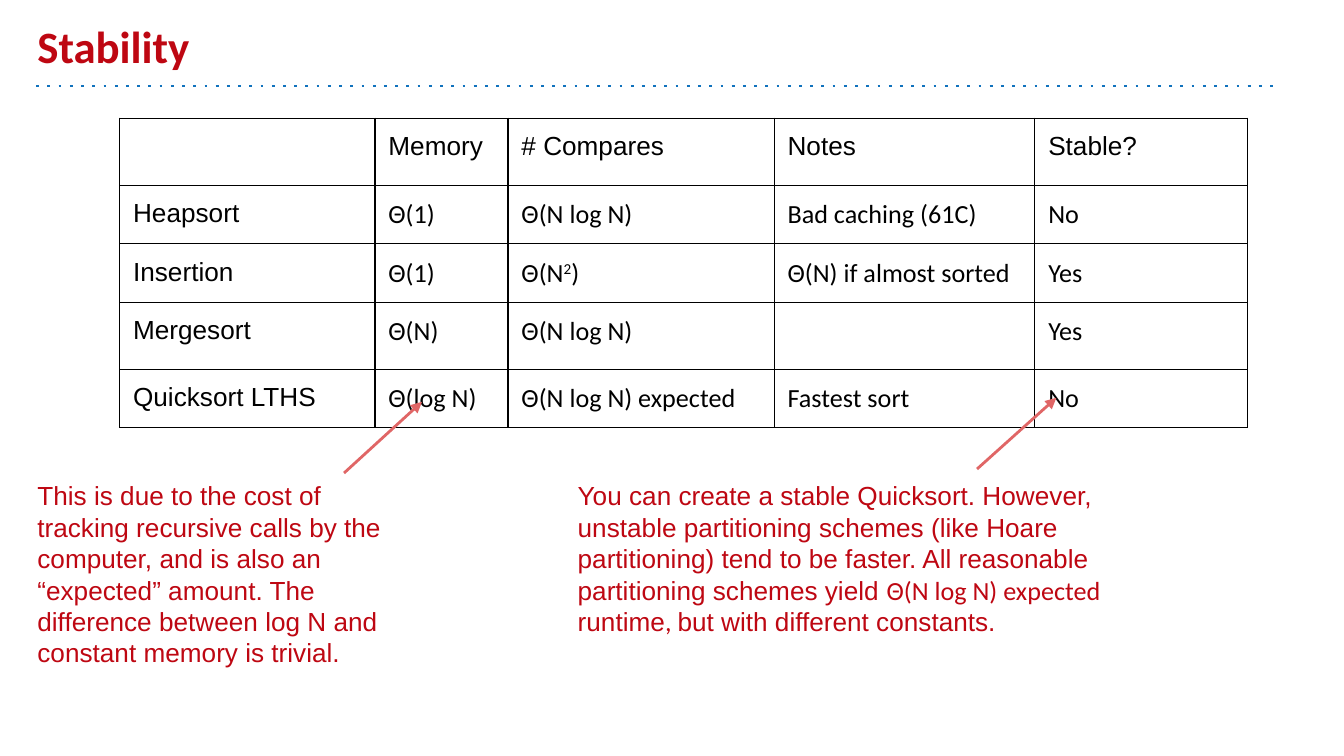
from lxml.etree import SubElement
from pptx import Presentation
from pptx.dml.color import RGBColor
from pptx.enum.shapes import MSO_CONNECTOR
from pptx.enum.text import MSO_ANCHOR
from pptx.oxml.ns import qn
from pptx.util import Inches, Pt

RED = RGBColor(0xBE, 0x07, 0x12)
ARROW_RED = RGBColor(0xE0, 0x66, 0x66)
BLUE = RGBColor(0x10, 0x72, 0xBD)
BLACK = RGBColor(0, 0, 0)
ARIAL, CALIBRI = "Arial", "Calibri"

TITLE = "Stability"
HEADERS = ["", "Memory", "# Compares", "Notes", "Stable?"]
SORTS = [
    ["Heapsort", "Θ(1)", "Θ(N log N)", "Bad caching (61C)", "No"],
    ["Insertion", "Θ(1)", "Θ(N^2^)", "Θ(N) if almost sorted", "Yes"],
    ["Mergesort", "Θ(N)", "Θ(N log N)", "", "Yes"],
    ["Quicksort LTHS", "Θ(log N)", "Θ(N log N) expected", "Fastest sort", "No"],
]
COL_WIDTHS = [1.9, 0.99, 1.98, 1.94, 1.58]
ROW_HEIGHT = 0.43

NOTES = [
    ((0.18, 3.47, 2.96, 1.52), [
        ("This is due to the cost of tracking recursive calls by the computer, "
         "and is also an “expected” amount. The difference between log N and "
         "constant memory is trivial.", ARIAL),
    ]),
    ((4.2, 3.47, 4.68, 1.37), [
        ("You can create a stable Quicksort. However, unstable partitioning "
         "schemes (like Hoare partitioning) tend to be faster. All reasonable "
         "partitioning schemes yield ", ARIAL),
        ("Θ(N log N) expected ", CALIBRI),
        ("runtime", ARIAL),
        (", ", CALIBRI),
        ("but with different constants.", ARIAL),
    ]),
]
ARROWS = [(2.56, 3.52, 3.14, 2.99), (7.27, 3.49, 7.86, 2.96)]


def add_run(p, text, font, color, size=14, bold=False):
    r = p.add_run()
    r.text = text
    r.font.name = font
    r.font.size = Pt(size)
    r.font.bold = bold
    r.font.color.rgb = color
    return r


def set_margins(box):
    box.margin_left = box.margin_right = Inches(0.1)
    box.margin_top = box.margin_bottom = Inches(0.1)


def add_text(slide, at, runs, anchor=MSO_ANCHOR.TOP, **style):
    tf = slide.shapes.add_textbox(*map(Inches, at)).text_frame
    tf.word_wrap = True
    tf.vertical_anchor = anchor
    set_margins(tf)
    for text, font in runs:
        add_run(tf.paragraphs[0], text, font, RED, **style)


def add_line(slide, ends, color, tag, **attrs):
    line = slide.shapes.add_connector(MSO_CONNECTOR.STRAIGHT, *map(Inches, ends))
    line.line.color.rgb = color
    line.line.width = Pt(1.5)
    SubElement(line.line._get_or_add_ln(), qn(tag), **attrs)
    SubElement(line._element.spPr, qn("a:effectLst"))


def add_borders(cell):
    tcPr = cell._tc.get_or_add_tcPr()
    for side in ("lnL", "lnR", "lnT", "lnB"):
        ln = SubElement(tcPr, qn(f"a:{side}"), w=str(Pt(0.75)))
        fill = SubElement(ln, qn("a:solidFill"))
        SubElement(fill, qn("a:srgbClr"), val=str(BLACK))


def fill_cell(cell, text, font):
    set_margins(cell)
    add_borders(cell)
    cell.fill.background()
    p = cell.text_frame.paragraphs[0]
    if not text:
        end = SubElement(p._p, qn("a:endParaRPr"), sz="1800")
        SubElement(end, qn("a:latin"), typeface=ARIAL)
        return
    for k, part in enumerate(text.split("^")):
        r = add_run(p, part, font, BLACK)
        if k % 2:
            r.font._element.set("baseline", "30000")


def add_sort_table(slide):
    rows = [HEADERS] + SORTS
    table = slide.shapes.add_table(
        len(rows), len(HEADERS), Inches(0.89), Inches(0.88),
        Inches(sum(COL_WIDTHS)), Inches(ROW_HEIGHT * len(rows))).table
    table.first_row = table.horz_banding = False
    for column, width in zip(table.columns, COL_WIDTHS):
        column.width = Inches(width)
    for i, row in enumerate(rows):
        table.rows[i].height = Inches(ROW_HEIGHT)
        for j, text in enumerate(row):
            font = ARIAL if i == 0 or j == 0 else CALIBRI
            fill_cell(table.cell(i, j), text, font)


prs = Presentation()
prs.slide_width = Inches(10)
prs.slide_height = prs.slide_width * 9 // 16
s = prs.slides.add_slide(prs.slide_layouts[6])

add_line(s, (0.27, 0.64, 9.5, 0.64), BLUE, "a:prstDash", val="dot")
add_text(s, (0.18, 0.1, 9, 0.54), [(TITLE, CALIBRI)], MSO_ANCHOR.BOTTOM,
         size=24, bold=True)
add_sort_table(s)
for at, runs in NOTES:
    add_text(s, at, runs)
for ends in ARROWS:
    add_line(s, ends, ARROW_RED, "a:tailEnd", type="triangle")

prs.save("out.pptx")
